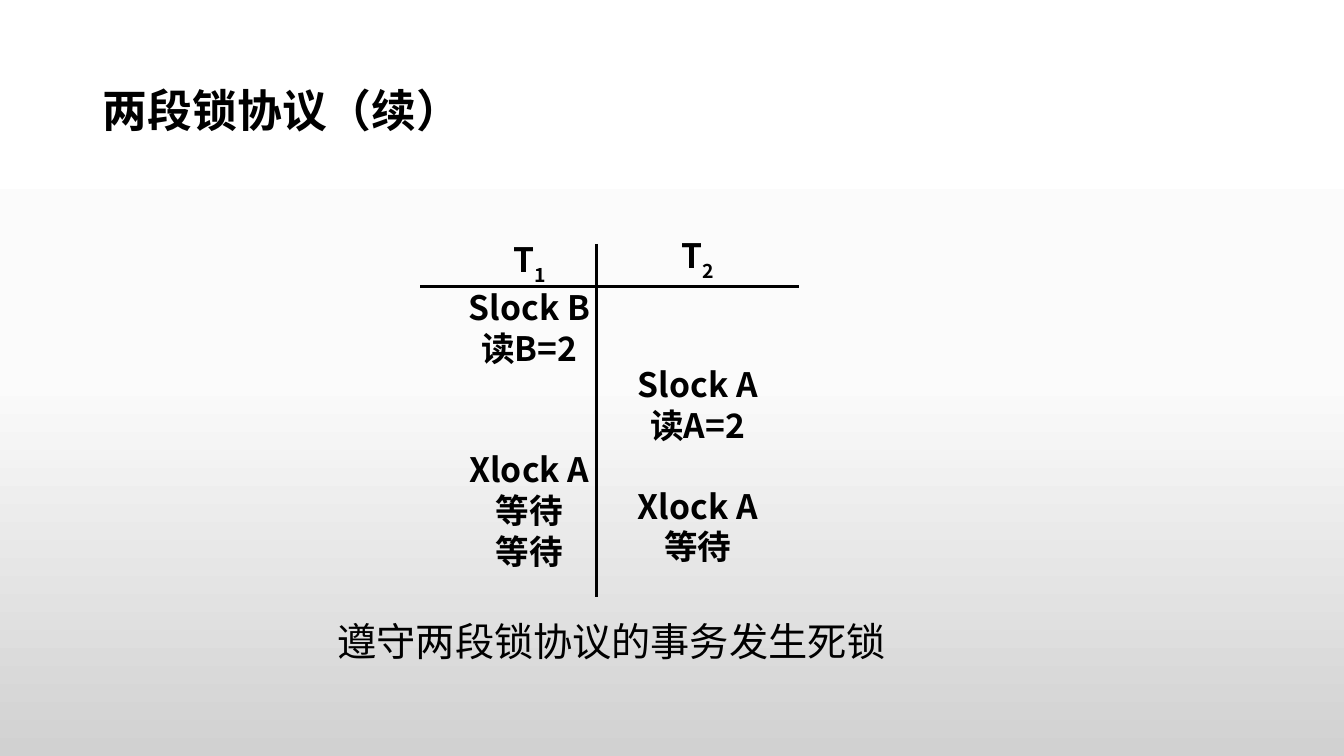
from copy import deepcopy
from dataclasses import dataclass

from lxml import etree
from pptx import Presentation
from pptx.dml.color import RGBColor
from pptx.enum.shapes import MSO_CONNECTOR
from pptx.enum.text import MSO_ANCHOR, MSO_AUTO_SIZE, PP_ALIGN
from pptx.oxml.ns import qn
from pptx.slide import Slide
from pptx.text.text import TextFrame, _Paragraph
from pptx.util import Inches, Pt

STRAIGHT = MSO_CONNECTOR.STRAIGHT
TOP, MIDDLE = MSO_ANCHOR.TOP, MSO_ANCHOR.MIDDLE
LEFT, CENTER = PP_ALIGN.LEFT, PP_ALIGN.CENTER
FIXED = MSO_AUTO_SIZE.NONE


@dataclass(frozen=True)
class Theme:
    ink: RGBColor = RGBColor(0, 0, 0)
    cjk: str = "Noto Sans CJK SC"
    latin: str = "Lato"
    title: int = 32
    step: int = 24
    note: int = 28
    pitch: int = 29
    rule: float = 2.25
    back: tuple = ((0, "FFFFFF"), (0.5, "FBFBFB"), (1, "D1D1D1"))


@dataclass(frozen=True)
class Step:
    text: str
    skip: int = 0  # idle lines above the step


@dataclass(frozen=True)
class Column:
    left: float
    top: float
    inset: float
    index: str
    steps: tuple[Step, ...]


@dataclass(frozen=True)
class Rule:
    start: tuple[float, float]
    end: tuple[float, float]


THEME = Theme()
BOLD = {"name": THEME.cjk, "bold": True}
TITLE = {**BOLD, "size": Pt(THEME.title)}
STEP = {**BOLD, "size": Pt(THEME.step)}
NOTE = {"name": THEME.latin, "size": Pt(THEME.note), "bold": False}

COLUMNS = (
    Column(4.58, 2.25, 0.19, "1", (
        Step("Slock B"), Step("读B=2"),
        Step("Xlock A", 2), Step("等待"), Step("等待"))),
    Column(6.25, 2.4, 0, "2", (
        Step("Slock A", 2), Step("读A=2"),
        Step("Xlock A", 1), Step("等待"))),
)
RULES = (
    Rule((4.17, 2.84), (7.92, 2.84)),
    Rule((5.92, 2.42), (5.92, 5.92)),
)


def paint(slide: Slide) -> None:
    """Fill the background with the theme's vertical gradient."""
    fill = slide.background.fill
    fill.gradient()
    fill.gradient_angle = 270
    stops = next(slide.element.iter(qn("a:gsLst")))
    stops.append(deepcopy(stops[-1]))
    for stop, (place, shade) in zip(fill.gradient_stops, THEME.back):
        stop.position = place
        stop.color.rgb = RGBColor.from_string(shade)


def add_run(para: _Paragraph, text: str, style: dict, base: int = 0) -> None:
    """Add styled text; base shifts it as a percentage of its size."""
    run = para.add_run()
    run.text = text
    for key, value in style.items():
        setattr(run.font, key, value)
    run.font.color.rgb = THEME.ink
    props = run.font._element
    if base:
        props.set("baseline", str(base * 1000))
    if style["name"] == THEME.cjk:
        etree.SubElement(props, qn("a:ea"), typeface=THEME.cjk)


def add_box(slide: Slide, left: float, top: float,
            width: float, height: float) -> TextFrame:
    box = slide.shapes.add_textbox(
        Inches(left), Inches(top), Inches(width), Inches(height))
    box.text_frame.word_wrap = False
    return box.text_frame


def add_title(slide: Slide, text: str) -> None:
    title = slide.shapes.title
    place = {"left": 0.92, "top": 0.4, "width": 11.5, "height": 1.45}
    for key, value in place.items():
        setattr(title, key, Inches(value))
    frame = title.text_frame
    frame.auto_size = FIXED
    frame.vertical_anchor = MIDDLE
    para = frame.paragraphs[0]
    para.alignment = LEFT
    para.line_spacing = 0.9
    add_run(para, text, TITLE)


def add_column(slide: Slide, column: Column) -> None:
    frame = add_box(slide, column.left, column.top, 1.34, 3.92)
    frame.vertical_anchor = TOP
    frame.margin_top = Inches(column.inset)
    frame.margin_left = frame.margin_right = Inches(0.02)
    head = frame.paragraphs[0]
    add_run(head, "T", STEP)
    add_run(head, column.index, STEP, -30)
    for step in column.steps:
        para = frame.add_paragraph()
        para.space_before = Pt(step.skip * THEME.pitch)
        add_run(para, step.text, STEP)
    for para in frame.paragraphs:
        para.alignment = CENTER
        para.line_spacing = Pt(THEME.pitch)


def add_rule(slide: Slide, rule: Rule) -> None:
    ends = [Inches(value) for value in rule.start + rule.end]
    line = slide.shapes.add_connector(STRAIGHT, *ends)
    line.line.color.rgb = THEME.ink
    line.line.width = Pt(THEME.rule)
    etree.SubElement(line._element.spPr, qn("a:effectLst"))


def main() -> None:
    deck = Presentation()
    deck.slide_width, deck.slide_height = Inches(13.33), Inches(7.5)
    slide = deck.slides.add_slide(deck.slide_layouts[5])
    paint(slide)
    add_title(slide, "两段锁协议（续）")
    for column in COLUMNS:
        add_column(slide, column)
    for rule in RULES:
        add_rule(slide, rule)
    note = add_box(slide, 3.25, 6.08, 5.7, 0.57)
    add_run(note.paragraphs[0], "遵守两段锁协议的事务发生死锁", NOTE)
    deck.save("out.pptx")


if __name__ == "__main__":
    main()
